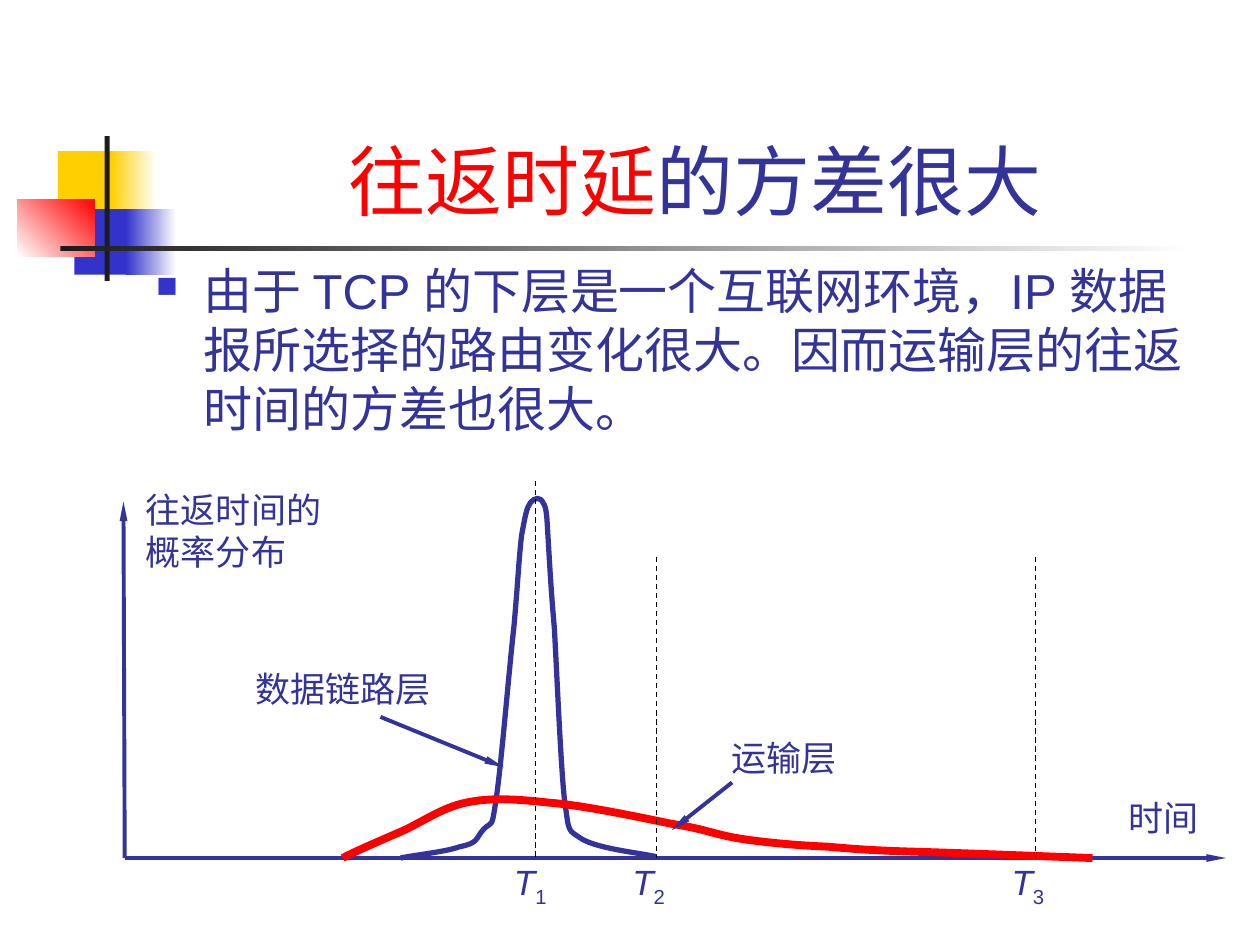
from dataclasses import dataclass

from lxml import etree
from pptx import Presentation
from pptx.dml.color import RGBColor
from pptx.enum.dml import MSO_LINE
from pptx.enum.shapes import MSO_CONNECTOR, MSO_SHAPE
from pptx.enum.text import MSO_ANCHOR, MSO_AUTO_SIZE, PP_ALIGN
from pptx.oxml.ns import qn
from pptx.util import Inches, Pt

STRAIGHT = MSO_CONNECTOR.STRAIGHT
RECTANGLE = MSO_SHAPE.RECTANGLE
DASH = MSO_LINE.DASH
BOTTOM, TOP = MSO_ANCHOR.BOTTOM, MSO_ANCHOR.TOP
CENTER, LEFT = PP_ALIGN.CENTER, PP_ALIGN.LEFT
FIT_SHAPE = MSO_AUTO_SIZE.SHAPE_TO_FIT_TEXT


@dataclass(frozen=True)
class Theme:
    font: str = "Arial"
    ink: RGBColor = RGBColor(0x33, 0x33, 0x99)
    blue: RGBColor = RGBColor(0x33, 0x33, 0xCC)
    red: RGBColor = RGBColor(0xFF, 0, 0)
    yellow: RGBColor = RGBColor(0xFF, 0xCF, 0x01)
    dark: RGBColor = RGBColor(0x1C, 0x1C, 0x1C)
    black: RGBColor = RGBColor(0, 0, 0)
    white: RGBColor = RGBColor(0xFF, 0xFF, 0xFF)
    title_size: Pt = Pt(44)
    body_size: Pt = Pt(28)
    label_size: Pt = Pt(20)


theme = Theme()
presentation = Presentation()
presentation.slide_width, presentation.slide_height = Inches(10), Inches(7.5)
slide = presentation.slides.add_slide(presentation.slide_layouts[6])


def add_text(box, paragraphs, size, align=LEFT, **frame_format):
    """Each paragraph is a list of (text, color, italic) runs."""
    frame = slide.shapes.add_textbox(*map(Inches, box)).text_frame
    for name, value in frame_format.items():
        setattr(frame, name, value)
    for index, runs in enumerate(paragraphs):
        paragraph = frame.add_paragraph() if index else frame.paragraphs[0]
        paragraph.alignment = align
        for text, color, italic in runs:
            run = paragraph.add_run()
            run.text = text
            font_format = {"name": theme.font, "size": size, "italic": italic}
            for name, value in font_format.items():
                setattr(run.font, name, value)
            run.font.color.rgb = color
    return frame


def add_line(start, end, color=theme.ink, width=2.25, dash=None, arrow=True):
    line = slide.shapes.add_connector(STRAIGHT, *map(Inches, (*start, *end)))
    line.line.color.rgb = color
    line.line.width = Pt(width)
    if dash:
        line.line.dash_style = dash
    if arrow:
        outline = line.line._get_or_add_ln()
        etree.SubElement(outline, qn("a:tailEnd"), type="triangle", w="sm", len="lg")
    etree.SubElement(line._element.spPr, qn("a:effectLst"))


# Corner ornament: box, first color, last color, gradient angle
ornament = [
    ((0.46, 1.2, 0.48, 0.52), theme.yellow, None, 0),
    ((0.88, 1.2, 0.36, 0.52), theme.yellow, theme.white, 0),
    ((0.59, 1.66, 0.46, 0.52), theme.blue, None, 0),
    ((1, 1.66, 0.4, 0.52), theme.blue, theme.white, 0),
    ((0.14, 1.58, 0.61, 0.46), theme.white, theme.red, 45),
    ((0.83, 1.08, 0.04, 1.15), theme.dark, None, 0),
    ((0.48, 1.95, 9, 0.04), theme.dark, theme.white, 0),
]
for box, first, last, angle in ornament:
    shape = slide.shapes.add_shape(RECTANGLE, *map(Inches, box))
    shape.shadow.inherit = False
    shape.line.fill.background()
    if last is None:
        shape.fill.solid()
        shape.fill.fore_color.rgb = first
    else:
        shape.fill.gradient()
        shape.fill.gradient_angle = angle
        for stop, color in zip(shape.fill.gradient_stops, (first, last)):
            stop.color.rgb = color

# Title
add_text((1.26, 0.24, 8.52, 1.6),
         [[("往返时延", theme.red, False), ("的方差很大", theme.ink, False)]],
         theme.title_size, CENTER, word_wrap=True, vertical_anchor=BOTTOM)

# Bulleted statement
statement = "由于 TCP 的下层是一个互联网环境，IP 数据报所选择的路由变化很大。因而运输层的往返时间的方差也很大。"
body = add_text((1.14, 2.02, 8.5, 1.57), [[(statement, theme.ink, False)]],
                theme.body_size, word_wrap=True, vertical_anchor=TOP)
properties = body.paragraphs[0]._p.get_or_add_pPr()
properties.set("marL", str(Inches(0.38)))
properties.set("indent", str(-Inches(0.38)))
bullet_color = etree.SubElement(properties, qn("a:buClr"))
etree.SubElement(bullet_color, qn("a:srgbClr"), val=str(theme.blue))
etree.SubElement(properties, qn("a:buSzPct"), val="60000")
etree.SubElement(properties, qn("a:buChar"), char="■")

# Axes
baseline = 6.81
origin = (0.99, baseline)
add_line(origin, (9.73, baseline))
add_line(origin, (0.98, 3.98))

# Distribution curves: start point, then two control points and an end point per Bézier piece
link_layer = [
    (3.18, 6.81),
    (3.26, 6.79), (3.55, 6.76), (3.65, 6.72),
    (3.8, 6.69), (3.77, 6.66), (3.84, 6.58),
    (3.91, 6.51), (3.9, 6.6), (3.94, 6.33),
    (3.98, 6.06), (4.04, 5.32), (4.08, 4.97),
    (4.11, 4.63), (4.12, 4.42), (4.14, 4.25),
    (4.17, 4.09), (4.18, 4.03), (4.21, 3.99),
    (4.24, 3.95), (4.29, 3.94), (4.31, 3.99),
    (4.34, 4.03), (4.34, 4.1), (4.35, 4.26),
    (4.36, 4.42), (4.37, 4.64), (4.4, 4.98),
    (4.42, 5.33), (4.45, 6.06), (4.48, 6.34),
    (4.52, 6.62), (4.5, 6.58), (4.62, 6.66),
    (4.76, 6.74), (5.09, 6.77), (5.21, 6.8),
]
transport_layer = [
    (2.72, 6.81),
    (2.79, 6.77), (3, 6.68), (3.16, 6.61),
    (3.33, 6.54), (3.5, 6.41), (3.7, 6.37),
    (3.89, 6.33), (4.08, 6.34), (4.35, 6.37),
    (4.63, 6.39), (5.09, 6.49), (5.34, 6.54),
    (5.6, 6.58), (5.69, 6.63), (5.9, 6.66),
    (6.1, 6.69), (6.34, 6.71), (6.57, 6.72),
    (6.8, 6.74), (6.93, 6.75), (7.27, 6.76),
    (7.62, 6.77), (8.38, 6.8), (8.67, 6.81),
]
for curve, color, width in ((link_layer, theme.ink, 3), (transport_layer, theme.red, 4.5)):
    start, *points = [tuple(map(Inches, point)) for point in curve]
    builder = slide.shapes.build_freeform(*start)
    builder.add_line_segments(points, close=False)
    shape = builder.convert_to_shape()
    # Join every three straight segments into one Bézier piece
    segments = list(shape._element.iter(qn("a:lnTo")))
    outline = segments[0].getparent()
    for index in range(0, len(segments), 3):
        piece = etree.SubElement(outline, qn("a:cubicBezTo"))
        for segment in segments[index:index + 3]:
            piece.append(segment[0])
            outline.remove(segment)
    shape.shadow.inherit = False
    shape.fill.background()
    shape.line.color.rgb = color
    shape.line.width = Pt(width)

# Time marks
marks = [(4.25, 3.82, 3.98), (5.21, 4.42, 4.92), (8.22, 4.42, 7.93)]
for x, top, label_left in marks:
    add_line((x, top), (x, baseline), theme.black, 0.75, DASH, arrow=False)

# Pointers from labels to curves
add_line((3.02, 5.69), (4, 6.09))
add_line((5.81, 6.21), (5.33, 6.59))

# Time mark labels with subscripts
for number, (x, top, label_left) in enumerate(marks, start=1):
    label = add_text((label_left, 6.78, 0.46, 0.48),
                     [[("T", theme.ink, True), (str(number), theme.ink, False)]],
                     theme.label_size, word_wrap=False, auto_size=FIT_SHAPE)
    label.paragraphs[0].runs[1]._r.get_or_add_rPr().set("baseline", "-25000")

# Axis and curve labels
labels = [
    ((8.86, 6.27, 0.77, 0.44), ["时间"]),
    ((1.93, 5.25, 1.6, 0.44), ["数据链路层"]),
    ((5.71, 5.8, 1.05, 0.44), ["运输层"]),
    ((1.06, 3.83, 1.6, 0.77), ["往返时间的", "概率分布"]),
]
for box, lines in labels:
    add_text(box, [[(text, theme.ink, False)] for text in lines],
             theme.label_size, word_wrap=False, auto_size=FIT_SHAPE)

presentation.save("out.pptx")
